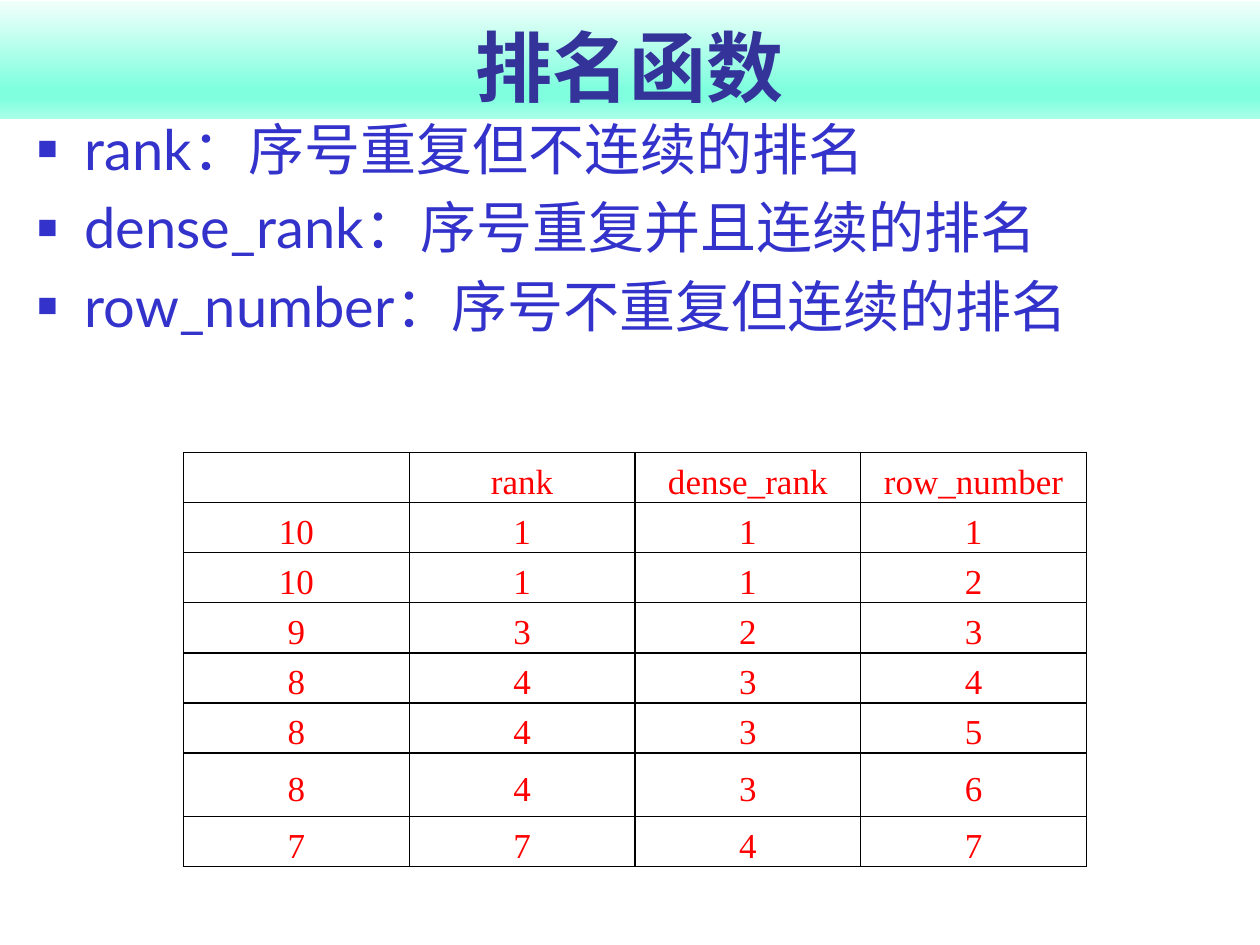
"""Build a slide that compares three ranking functions."""
import pptx
import pptx.dml.color
import pptx.enum.text
import pptx.oxml
import pptx.oxml.ns
import pptx.util
from pptx.util import Cm

hues = {"title": "333399", "list": "3333CC", "cell": "FF0000", "line": "000000",
        "pale": "F1FFFB", "mint": "80FFDE", "soft": "AAFFE9"}
align = pptx.enum.text.PP_ALIGN
anchor = pptx.enum.text.MSO_ANCHOR
space = pptx.oxml.ns.nsdecls("a")


def style(font, name, size, hue):
    font.name = name
    font.size = pptx.util.Pt(size)
    font.color.rgb = pptx.dml.color.RGBColor.from_string(hues[hue])


def add(node, tag, attrs="", inner=""):
    node.append(pptx.oxml.parse_xml(f"<a:{tag} {space} {attrs}>{inner}</a:{tag}>"))


deck = pptx.Presentation()
deck.slide_width, deck.slide_height = Cm(25.4), Cm(19.05)
slide = deck.slides.add_slide(deck.slide_layouts[1])

title = slide.shapes.title
title.left, title.top, title.width, title.height = Cm(0), Cm(0.03), Cm(25.4), Cm(2.36)
title.fill.gradient()
title.fill.gradient_angle = 270
stops = title.fill._fill._gradFill.gsLst
for stop in list(stops):
    stops.remove(stop)
for spot, hue in [(0, "pale"), (74, "mint"), (83, "mint"), (100, "soft")]:
    add(stops, "gs", f'pos="{spot * 1000}"', f'<a:srgbClr val="{hues[hue]}"/>')
frame = title.text_frame
frame.text = "排名函数"
frame.auto_size = pptx.enum.text.MSO_AUTO_SIZE.NONE
frame.vertical_anchor = anchor.BOTTOM
para = frame.paragraphs[0]
para.alignment = align.CENTER
style(para.runs[0].font, "Lato", 44, "title")
para.runs[0].font.bold = True

body = slide.placeholders[1]
body.left, body.top, body.width, body.height = Cm(0.5), Cm(2.18), Cm(24.26), Cm(5.74)
frame = body.text_frame
frame.text = "rank：序号重复但不连续的排名\ndense_rank：序号重复并且连续的排名\nrow_number：序号不重复但连续的排名"
frame.auto_size = pptx.enum.text.MSO_AUTO_SIZE.NONE
for row, para in enumerate(frame.paragraphs):
    props = para._p.get_or_add_pPr()
    props.set("marL", str(int(Cm(0.95))))
    props.set("indent", str(-int(Cm(0.95))))
    add(props, "buClr", inner=f'<a:srgbClr val="{hues["list"]}"/>')
    add(props, "buSzPct", 'val="60000"')
    add(props, "buChar", 'char="■"')
    para.alignment = align.JUSTIFY
    para.space_before = pptx.util.Pt(6.4 if row else 0)
    style(para.runs[0].font, "Lato", 32, "list")

data = [
    ["", "rank", "dense_rank", "row_number"],
    [10, 1, 1, 1],
    [10, 1, 1, 2],
    [9, 3, 2, 3],
    [8, 4, 3, 4],
    [8, 4, 3, 5],
    [8, 4, 3, 6],
    [7, 7, 4, 7],
]
grid = slide.shapes.add_table(8, 4, Cm(3.7), Cm(9.12), Cm(18.2), Cm(8.38)).table
grid.first_row = grid.horz_banding = False
edge = f'<a:solidFill><a:srgbClr val="{hues["line"]}"/></a:solidFill>'
for col in grid.columns:
    col.width = Cm(4.55)
for row, items in enumerate(data):
    grid.rows[row].height = Cm(1.28 if row == 6 else 1.01)
    for col, item in enumerate(items):
        cell = grid.cell(row, col)
        cell.text = str(item)
        cell.vertical_anchor = anchor.MIDDLE
        cell.margin_left = cell.margin_right = Cm(0.18)
        cell.margin_top = cell.margin_bottom = Cm(0)
        props = cell._tc.get_or_add_tcPr()
        for side in "LRTB":
            add(props, f"ln{side}", 'w="12700"', edge)
        cell.fill.background()
        para = cell.text_frame.paragraphs[0]
        para.alignment = align.CENTER
        para.line_spacing = 1.25
        style(para.font, "Times New Roman", 20, "cell")
        for run in para.runs:
            style(run.font, "Times New Roman", 20, "cell")

deck.save("out.pptx")
